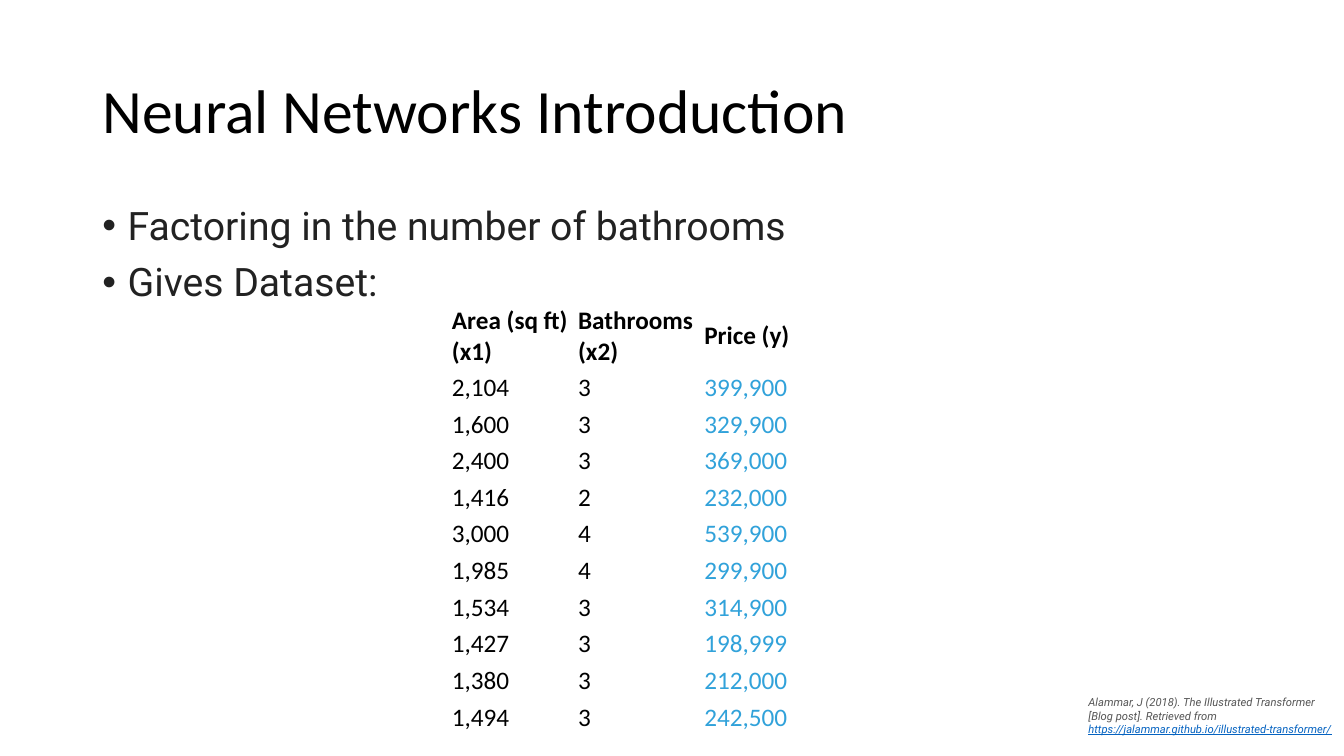
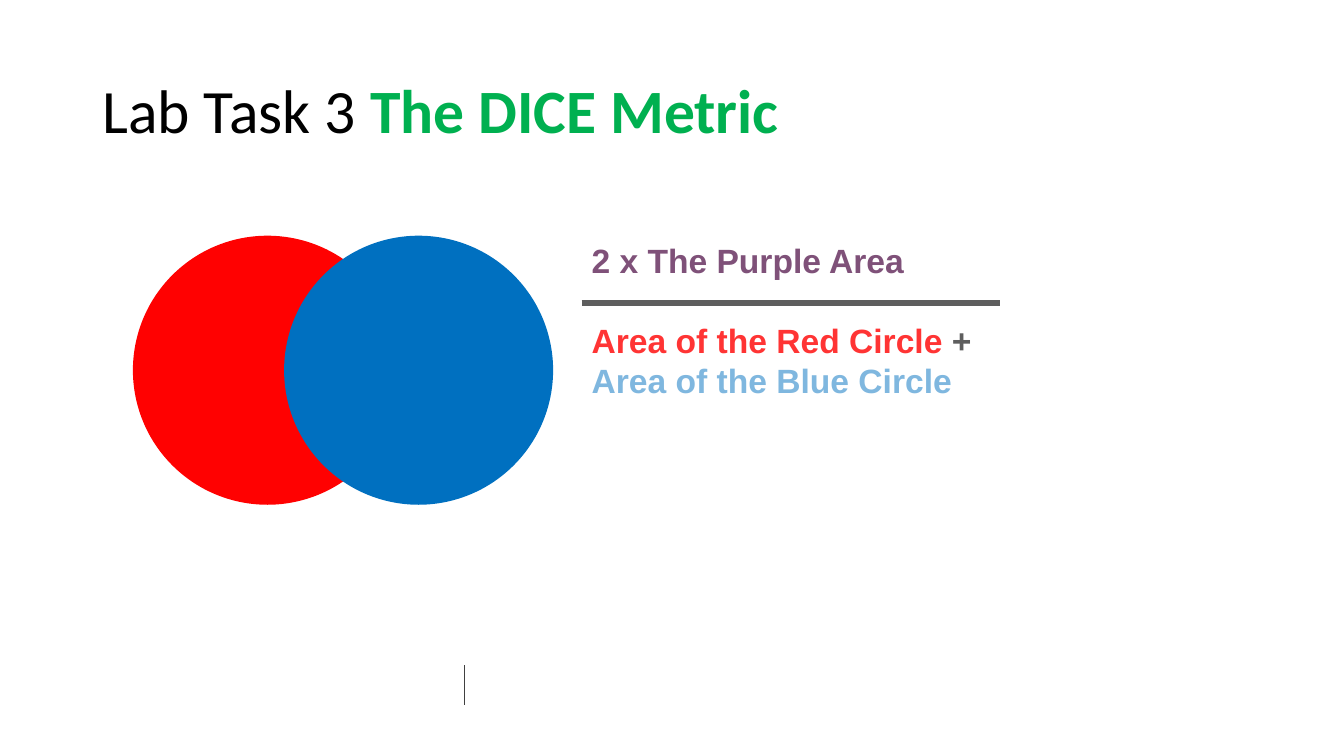
from dataclasses import dataclass

from lxml import etree
from pptx import Presentation
from pptx.dml.color import RGBColor
from pptx.enum import shapes, text
from pptx.oxml import ns
from pptx.util import Cm, Pt


@dataclass(frozen=True)
class Theme:
    black: str = "000000"
    white: str = "FFFFFF"
    green: str = "00B050"
    body_gray: str = "222222"
    divider_gray: str = "404040"
    cite_gray: str = "555555"
    formula_gray: str = "5E5E5E"
    link: str = "0563C1"
    price: str = "31A2DA"
    red_circle: str = "FF0101"
    blue_circle: str = "0070C0"
    purple_text: str = "7F5179"
    red_text: str = "FF3434"
    blue_text: str = "7FB7DF"
    title_font: str = "Calibri"
    body_font: str = "Roboto"
    formula_font: str = "Arial"
    title_size: int = 44
    body_size: int = 28
    formula_size: int = 24
    table_size: int = 18
    cite_size: int = 8


THEME = Theme()

TITLE = {"name": THEME.title_font, "size": Pt(THEME.title_size)}
BODY = {"name": THEME.body_font, "size": Pt(THEME.body_size)}
CELL = {"name": THEME.title_font, "size": Pt(THEME.table_size)}
CITATION = {"name": THEME.body_font, "size": Pt(THEME.cite_size), "italic": True}
FORMULA = {"name": THEME.formula_font, "size": Pt(THEME.formula_size), "bold": True}

HOUSES = [
    ("Area (sq ft) (x1)", "Bathrooms (x2)", "Price (y)"),
    ("2,104", "3", "399,900"),
    ("1,600", "3", "329,900"),
    ("2,400", "3", "369,000"),
    ("1,416", "2", "232,000"),
    ("3,000", "4", "539,900"),
    ("1,985", "4", "299,900"),
    ("1,534", "3", "314,900"),
    ("1,427", "3", "198,999"),
    ("1,380", "3", "212,000"),
    ("1,494", "3", "242,500"),
]


def set_values(target, values):
    for name, value in values.items():
        setattr(target, name, value)


def add_run(paragraph, wording, style, color, **extra):
    run = paragraph.add_run()
    run.text = wording
    set_values(run.font, {**style, **extra})
    run.font.color.rgb = RGBColor.from_string(color)


def add_text_frame(slide, left, top, width, height, anchor=text.MSO_ANCHOR.TOP):
    box = slide.shapes.add_textbox(Cm(left), Cm(top), Cm(width), Cm(height))
    set_values(box.text_frame, {"word_wrap": True, "vertical_anchor": anchor})
    return box.text_frame


def add_line(slide, start, end, color, weight):
    line = slide.shapes.add_connector(
        shapes.MSO_CONNECTOR.STRAIGHT, *(Cm(value) for value in start + end))
    line.line.color.rgb = RGBColor.from_string(color)
    line.line.width = Pt(weight)
    etree.SubElement(line.element.spPr, ns.qn("a:effectLst"))


def add_circle(slide, left, top, diameter, color):
    circle = slide.shapes.add_shape(
        shapes.MSO_SHAPE.OVAL, Cm(left), Cm(top), Cm(diameter), Cm(diameter))
    circle.shadow.inherit = False
    circle.fill.solid()
    circle.fill.fore_color.rgb = RGBColor.from_string(color)
    circle.line.fill.background()


def add_bullets(slide, items):
    frame = add_text_frame(slide, 2.33, 5.08, 29.21, 10.69)
    for index, item in enumerate(items):
        paragraph = frame.add_paragraph() if index else frame.paragraphs[0]
        properties = paragraph._p.get_or_add_pPr()
        indent = Cm(0.64)
        properties.set("marL", str(indent))
        properties.set("indent", str(-indent))
        etree.SubElement(properties, ns.qn("a:buFont"), typeface="Arial")
        etree.SubElement(properties, ns.qn("a:buChar"), char="•")
        paragraph.line_spacing = 0.9
        if index:
            paragraph.space_before = Pt(10)
        add_run(paragraph, item, BODY, THEME.body_gray)


def add_data_table(slide, rows, left, top, column_width, header_height, row_height):
    """Plain white table with a bold header and a coloured last column."""
    column_count = len(rows[0])
    height = header_height + row_height * (len(rows) - 1)
    table = slide.shapes.add_table(
        len(rows), column_count, Cm(left), Cm(top),
        Cm(column_width * column_count), Cm(height)).table
    set_values(table, {"first_row": False, "horz_banding": False})
    for column in table.columns:
        column.width = Cm(column_width)
    margins = dict.fromkeys(
        ("margin_left", "margin_right", "margin_top", "margin_bottom"), Cm(0.08))
    for row_index, values in enumerate(rows):
        is_header = row_index == 0
        table.rows[row_index].height = Cm(header_height if is_header else row_height)
        for column_index, value in enumerate(values):
            cell = table.cell(row_index, column_index)
            set_values(cell, {**margins, "vertical_anchor": text.MSO_ANCHOR.MIDDLE})
            cell.fill.solid()
            cell.fill.fore_color.rgb = RGBColor.from_string(THEME.white)
            is_price = column_index == column_count - 1 and not is_header
            color = THEME.price if is_price else THEME.black
            add_run(cell.text_frame.paragraphs[0], value, CELL, color, bold=is_header)


def add_citation(slide, wording, address):
    paragraph = add_text_frame(slide, 27.18, 17.4, 6.68, 1.63).paragraphs[0]
    add_run(paragraph, wording, CITATION, THEME.cite_gray)
    add_run(paragraph, address, CITATION, THEME.link, underline=True)


def add_fraction(slide, left, top, width, bar_top):
    frame = add_text_frame(slide, left, top, width, 4.45)
    numerator = frame.paragraphs[0]
    add_run(numerator, "2 x The Purple Area", FORMULA, THEME.purple_text)
    denominator = frame.add_paragraph()
    denominator.space_before = Pt(28)
    for wording, color in (
            ("Area of the Red Circle ", THEME.red_text),
            ("+ ", THEME.formula_gray),
            ("Area of the Blue Circle", THEME.blue_text)):
        add_run(denominator, wording, FORMULA, color)
    add_line(slide, (left, bar_top), (left + width, bar_top), THEME.formula_gray, 4.5)


def start_slide(presentation, title, highlight=""):
    """Add a slide with the shared title and footer divider."""
    slide = presentation.slides.add_slide(presentation.slide_layouts[6])
    frame = add_text_frame(slide, 2.33, 1.01, 29.21, 3.68, text.MSO_ANCHOR.MIDDLE)
    paragraph = frame.paragraphs[0]
    paragraph.line_spacing = 0.9
    add_run(paragraph, title, TITLE, THEME.black)
    if highlight:
        add_run(paragraph, highlight, TITLE, THEME.green, bold=True)
    add_line(slide, (11.7, 16.76), (11.7, 17.76), THEME.divider_gray, 1)
    return slide


def build_dataset_slide(presentation):
    slide = start_slide(presentation, "Neural Networks Introduction")
    add_data_table(slide, HOUSES, left=11.31, top=7.62, column_width=3.18,
                   header_height=1.42, row_height=0.79)
    add_bullets(slide, ["Factoring in the number of bathrooms", "Gives Dataset:"])
    add_citation(
        slide,
        "Alammar, J (2018). The Illustrated Transformer [Blog post]. Retrieved from ",
        "https://jalammar.github.io/illustrated-transformer/")


def build_dice_slide(presentation):
    slide = start_slide(presentation, "Lab Task 3 ", "The DICE Metric")
    for index, color in enumerate((THEME.red_circle, THEME.blue_circle)):
        add_circle(slide, 3.35 + 3.81 * index, 5.94, 6.78, color)
    add_fraction(slide, left=14.66, top=5.93, width=10.54, bar_top=7.64)


def main():
    presentation = Presentation()
    set_values(presentation, {"slide_width": Cm(33.87), "slide_height": Cm(19.05)})
    build_dataset_slide(presentation)
    build_dice_slide(presentation)
    presentation.save("out.pptx")


if __name__ == "__main__":
    main()
